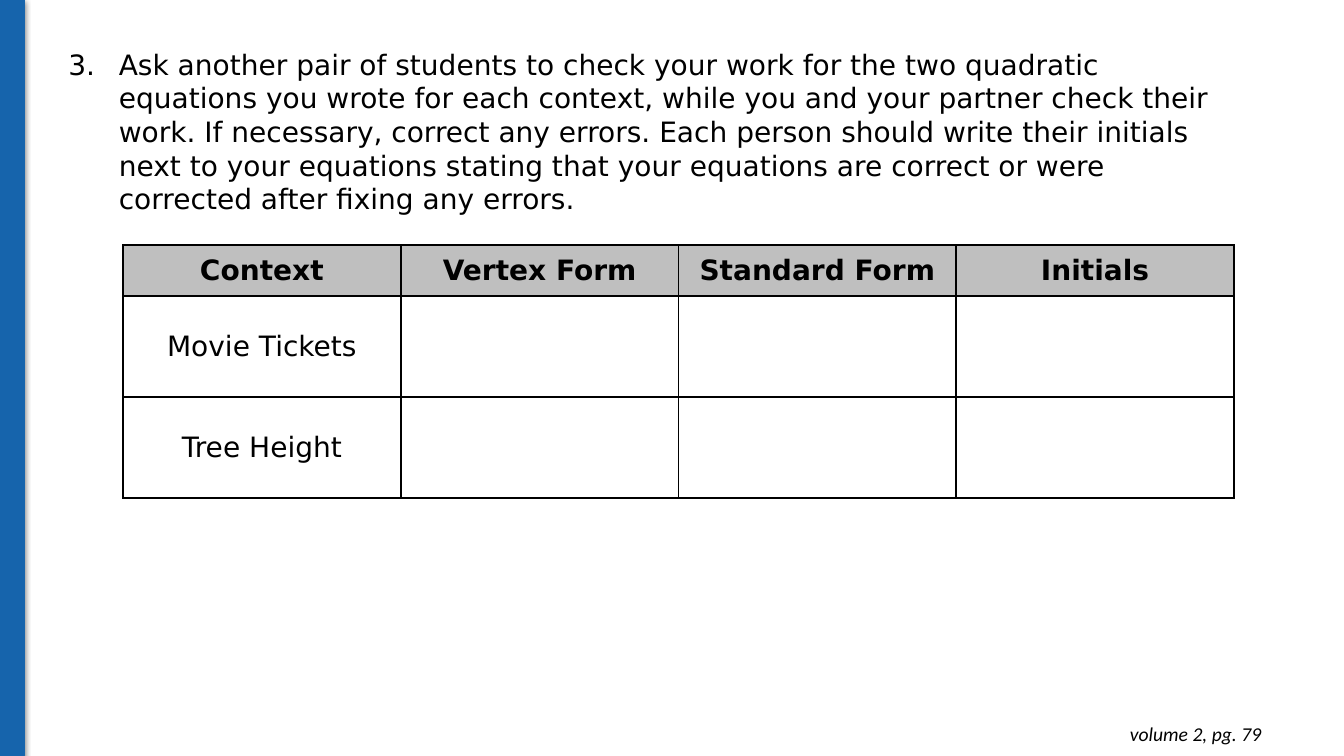
from lxml import etree
from pptx import Presentation
from pptx.dml.color import RGBColor
from pptx.enum.shapes import MSO_SHAPE
from pptx.enum.text import MSO_ANCHOR, PP_ALIGN
from pptx.oxml.ns import qn
from pptx.util import Inches, Pt

RECTANGLE = MSO_SHAPE.RECTANGLE
MIDDLE = MSO_ANCHOR.MIDDLE
CENTER, RIGHT = PP_ALIGN.CENTER, PP_ALIGN.RIGHT
BLANK_LAYOUT = 6
WIDTH, HEIGHT = 13.33, 7.5
BODY_FONT, FOOTER_FONT = "DejaVu Sans", "Calibri"
BLACK, WHITE, GRAY, BLUE, BLUE_EDGE = "000000", "FFFFFF", "BFBFBF", "1664AC", "1765AD"

INSTRUCTION = (
    "Ask another pair of students to check your work for the two quadratic equations "
    "you wrote for each context, while you and your partner check their work. "
    "If necessary, correct any errors. Each person should write their initials next to "
    "your equations stating that your equations are correct or were corrected after "
    "fixing any errors."
)
ROWS = [
    ["Context", "Vertex Form", "Standard Form", "Initials"],
    ["Movie Tickets", "", "", ""],
    ["Tree Height", "", "", ""],
]
HEADER_HEIGHT = 0.51


def color(hex_code):
    return RGBColor.from_string(hex_code)


def add_xml(parent, tag, **attributes):
    return etree.SubElement(parent, qn(tag), {key: str(value) for key, value in attributes.items()})


def add_solid(parent, hex_code):
    return add_xml(add_xml(parent, "a:solidFill"), "a:srgbClr", val=hex_code)


def format_font(font, name, size, bold=False, italic=False):
    font.name, font.size, font.bold, font.italic = name, Pt(size), bold, italic
    font.color.rgb = color(BLACK)


def place(box):
    return [Inches(length) for length in box]


def add_side_bar(page, box):
    bar = page.shapes.add_shape(RECTANGLE, *place(box))
    bar.fill.solid()
    bar.fill.fore_color.rgb = color(BLUE)
    bar.line.color.rgb = color(BLUE_EDGE)
    bar.line.width = Pt(0.75)
    # Soft shadow below the bar
    bar.shadow.inherit = False
    effects = bar._element.spPr.find(qn("a:effectLst"))
    shadow = add_xml(effects, "a:outerShdw", blurRad=Pt(4.5), dist=Pt(1.5), dir=90 * 60000)
    add_xml(add_xml(shadow, "a:srgbClr", val=BLACK), "a:alpha", val=50000)


def add_text(page, box, text):
    frame = page.shapes.add_textbox(*place(box)).text_frame
    frame.word_wrap = True
    frame.text = text
    return frame


def add_instruction(page, box, number):
    para = add_text(page, box, INSTRUCTION).paragraphs[0]
    # Hanging number
    properties = para._p.get_or_add_pPr()
    properties.set("marL", str(Inches(0.5)))
    properties.set("indent", str(-Inches(0.5)))
    add_xml(add_xml(properties, "a:buClr"), "a:srgbClr", val=BLACK)
    add_xml(properties, "a:buFont", typeface=BODY_FONT)
    add_xml(properties, "a:buAutoNum", type="arabicPeriod", startAt=number)
    format_font(para.runs[0].font, BODY_FONT, 20)


def add_page_reference(page, box):
    frame = add_text(page, box, "volume 2, pg. 79")
    frame.margin_top = frame.margin_bottom = Inches(0.1)
    para = frame.paragraphs[0]
    para.alignment = RIGHT
    format_font(para.runs[0].font, FOOTER_FONT, 14, italic=True)


def format_cell(cell, text, is_header):
    # Borders come before the fill in the cell properties
    properties = cell._tc.get_or_add_tcPr()
    for side in ("a:lnL", "a:lnR", "a:lnT", "a:lnB"):
        add_solid(add_xml(properties, side, w=Pt(1.5)), BLACK)
    cell.fill.solid()
    cell.fill.fore_color.rgb = color(GRAY if is_header else WHITE)
    cell.vertical_anchor = MIDDLE
    cell.margin_left = cell.margin_right = Inches(0.07)
    cell.margin_top = cell.margin_bottom = 0
    cell.text = text
    para = cell.text_frame.paragraphs[0]
    para.alignment = CENTER
    format_font(para.font, BODY_FONT, 20, bold=is_header)
    for span in para.runs:
        format_font(span.font, BODY_FONT, 20, bold=is_header)


def add_equation_table(page, box):
    left, top, width, height = box
    table = page.shapes.add_table(len(ROWS), len(ROWS[0]), *place(box)).table
    table.first_row = table.horz_banding = False
    body_height = (height - HEADER_HEIGHT) / (len(ROWS) - 1)
    for column in table.columns:
        column.width = Inches(width / len(ROWS[0]))
    for index, texts in enumerate(ROWS):
        table.rows[index].height = Inches(body_height if index else HEADER_HEIGHT)
        for position, text in enumerate(texts):
            format_cell(table.cell(index, position), text, index == 0)


def main():
    deck = Presentation()
    deck.slide_width, deck.slide_height = Inches(WIDTH), Inches(HEIGHT)
    page = deck.slides.add_slide(deck.slide_layouts[BLANK_LAYOUT])
    add_side_bar(page, (0, 0, 0.24, HEIGHT))
    add_page_reference(page, (9.73, 7.06, 2.88, 0.44))
    add_instruction(page, (0.58, 0.42, 11.81, 2.12), 3)
    add_equation_table(page, (1.22, 2.43, 11.02, 2.51))
    deck.save("out.pptx")


if __name__ == "__main__":
    main()
